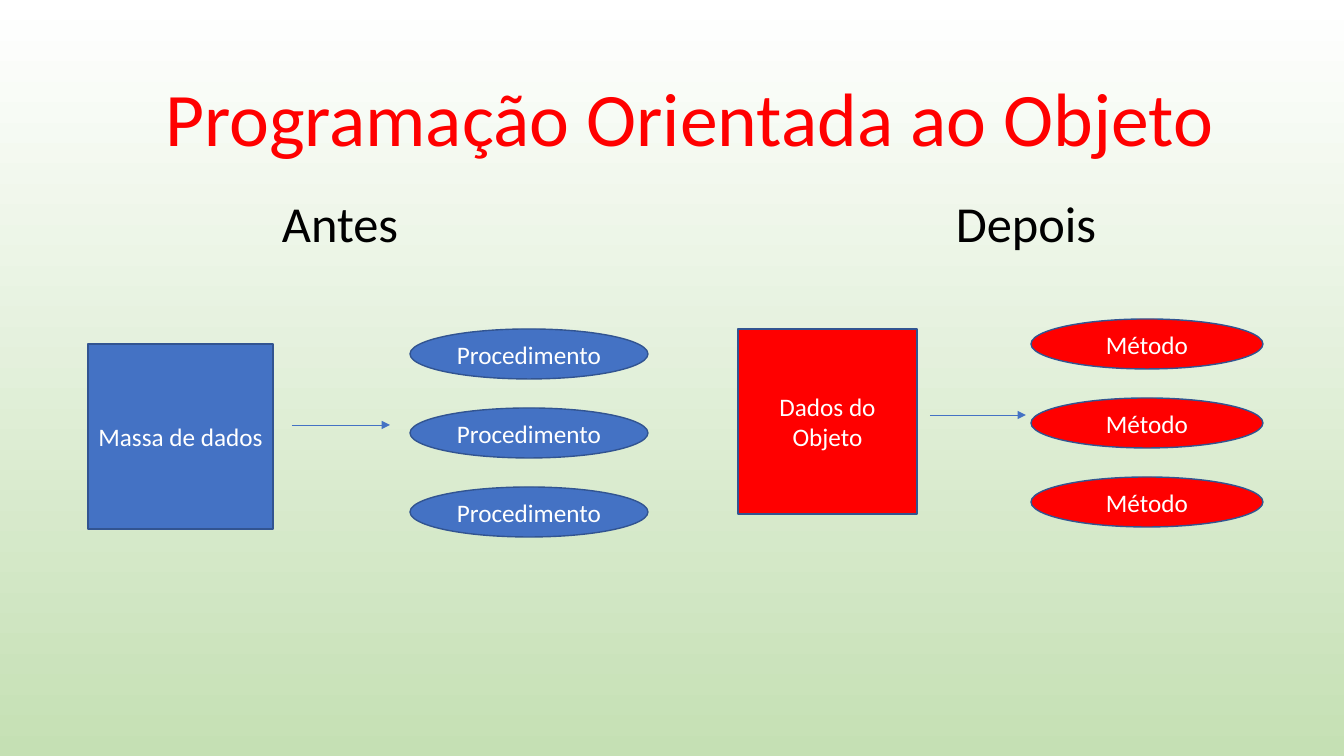
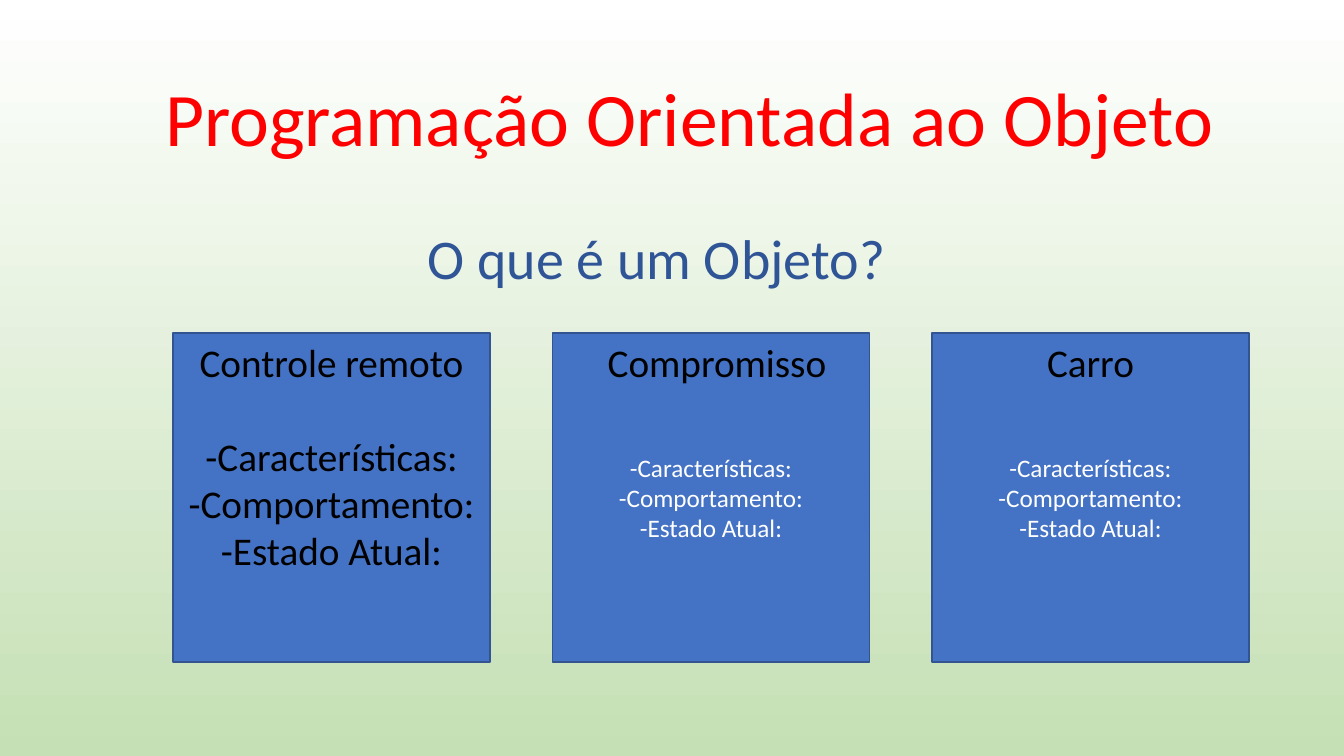
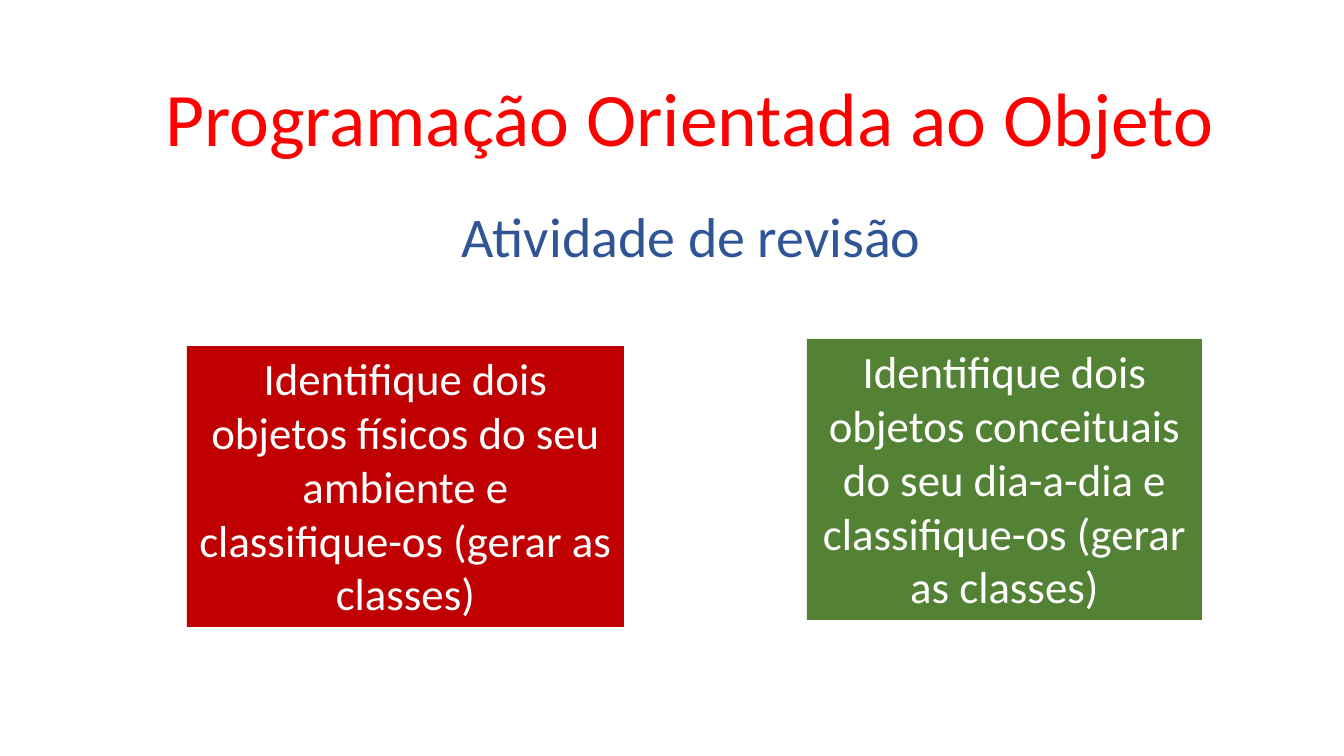
from lxml import etree
from pptx import Presentation
from pptx.dml.color import RGBColor
from pptx.enum.shapes import MSO_CONNECTOR, MSO_SHAPE
from pptx.enum.text import MSO_ANCHOR, MSO_AUTO_SIZE, PP_ALIGN
from pptx.oxml.ns import qn
from pptx.util import Emu, Pt

RECT, OVAL = MSO_SHAPE.RECTANGLE, MSO_SHAPE.OVAL
LEFT, MID = PP_ALIGN.LEFT, PP_ALIGN.CENTER
TOP, CENTER = MSO_ANCHOR.TOP, MSO_ANCHOR.MIDDLE
STRAIGHT = MSO_CONNECTOR.STRAIGHT
FIXED = MSO_AUTO_SIZE.NONE

WHITE = RGBColor(0xFF, 0xFF, 0xFF)
BLACK = RGBColor(0x00, 0x00, 0x00)
RED = RGBColor(0xFF, 0x00, 0x00)
BLUE = RGBColor(0x44, 0x72, 0xC4)
EDGE = RGBColor(0x32, 0x54, 0x91)
NAVY = RGBColor(0x2F, 0x55, 0x97)
MINT = RGBColor(0xC5, 0xE0, 0xB4)
WINE = RGBColor(0xC0, 0x00, 0x00)
GREEN = RGBColor(0x54, 0x82, 0x35)

FONT = "Calibri"
SCALE = 914400 / 100.8
TITLE = "Programação Orientada ao Objeto"
TITLE_BOX = (155, 66, 1080, 102)
TRAITS = ["-Características:", "-Comportamento:", "-Estado Atual:"]


def emu(*sizes):
    """Turn pixel lengths into EMU."""
    return [Emu(round(size * SCALE)) for size in sizes]


def write(frame, lines, size, color, align=MID, anchor=CENTER, wrap=True):
    """Fill a text frame with one paragraph per line."""
    frame.word_wrap = wrap
    frame.auto_size = FIXED
    frame.vertical_anchor = anchor
    for i, line in enumerate(lines):
        para = frame.add_paragraph() if i else frame.paragraphs[0]
        para.alignment = align
        para.line_spacing = 1.0
        run = para.add_run()
        run.text = line
        run.font.name = FONT
        run.font.size = Pt(size)
        run.font.color.rgb = color


def label(slide, box, lines, size, color, align=LEFT):
    """Place text without a frame and return its text frame."""
    frame = slide.shapes.add_textbox(*emu(*box)).text_frame
    write(frame, lines, size, color, align, TOP, False)
    return frame


def block(slide, kind, box, fill, lines, size=18, edge=EDGE, anchor=CENTER):
    """Draw a filled shape with centred text."""
    shape = slide.shapes.add_shape(kind, *emu(*box))
    shape.shadow.inherit = False
    shape.fill.solid()
    shape.fill.fore_color.rgb = fill
    if edge is None:
        shape.line.fill.background()
    else:
        shape.line.color.rgb = edge
        shape.line.width = Pt(1)
    write(shape.text_frame, lines, size, WHITE, anchor=anchor)


def arrow(slide, start, end, y):
    """Draw a thin level arrow pointing right."""
    link = slide.shapes.add_connector(STRAIGHT, *emu(start, y, end, y))
    link.line.color.rgb = BLUE
    link.line.width = Pt(0.5)
    etree.SubElement(link.line._get_or_add_ln(), qn("a:tailEnd"), type="triangle")
    etree.SubElement(link._element.spPr, qn("a:effectLst"))


def start(deck, shaded=True):
    """Add a slide with the shared title and background."""
    slide = deck.slides.add_slide(deck.slide_layouts[5])
    fill = slide.background.fill
    if shaded:
        fill.gradient()
        fill.gradient_angle = 270
        for stop, color in zip(fill.gradient_stops, (WHITE, MINT)):
            stop.color.rgb = color
    else:
        fill.solid()
        fill.fore_color.rgb = WHITE
    title = slide.shapes.title
    title.left, title.top, title.width, title.height = emu(*TITLE_BOX)
    write(title.text_frame, [TITLE], 54, RED, LEFT, TOP, False)
    return slide


def flow(slide, box, fill, data, step, side, drop, oval, gaps):
    """Draw a data square, an arrow and three ovals inside the box."""
    x, y, width, height = box
    block(slide, RECT, (x, y + drop, side, 185), fill, [data])
    left = x + width - oval
    arrow(slide, x + side + gaps[0], left - gaps[1], y + 96)
    tall = 50
    pitch = (height - tall) // 2
    for i in range(3):
        block(slide, OVAL, (left, y + i * pitch, oval, tall), fill, [step])


def cards(slide, box):
    """Draw three equal object cards across the box."""
    x, y, width, height = box
    wide = 317
    pitch = (width - wide) / 2
    names = [("Controle remoto", 0), ("Compromisso", 6), ("Carro", 0)]
    for i, (name, shift) in enumerate(names):
        left = x + i * pitch
        large = i == 0
        block(slide, RECT, (left, y, wide, height), BLUE, [] if large else TRAITS)
        lines = [name] + TRAITS if large else [name]
        tall = 248 if large else 57
        frame = label(slide, (left + shift, y, wide, tall), lines, 28, BLACK, MID)
        if large:
            frame.paragraphs[1].space_before = Pt(34)


def compare(deck):
    """Build the before and after slide."""
    slide = start(deck)
    label(slide, (272, 187, 138, 72), ["Antes"], 36, BLACK)
    label(slide, (946, 187, 162, 72), ["Depois"], 36, BLACK)
    flow(slide, (88, 329, 560, 208), BLUE, "Massa de dados", "Procedimento",
         side=185, drop=15, oval=238, gaps=(19, 20))
    flow(slide, (738, 319, 525, 208), RED, "Dados do Objeto", "Método",
         side=179, drop=10, oval=232, gaps=(13, 5))


def define(deck):
    """Build the slide on what an object is."""
    slide = start(deck)
    label(slide, (418, 219, 482, 78), ["O que é um Objeto?"], 40, NAVY)
    cards(slide, (173, 333, 1076, 329))


def review(deck):
    """Build the review task slide."""
    slide = start(deck, shaded=False)
    label(slide, (452, 197, 484, 78), ["Atividade de revisão"], 40, NAVY)
    tasks = [
        ((187, 346, 437, 281), WINE, "físicos do seu ambiente"),
        ((807, 339, 395, 281), GREEN, "conceituais do seu dia-a-dia"),
    ]
    for box, fill, topic in tasks:
        text = f"Identifique dois objetos {topic} e classifique-os (gerar as classes)"
        block(slide, RECT, box, fill, [text], 32, None, TOP)


def main():
    """Build and save the deck."""
    deck = Presentation()
    deck.slide_width, deck.slide_height = emu(1344, 756)
    compare(deck)
    define(deck)
    review(deck)
    deck.save("out.pptx")


main()
